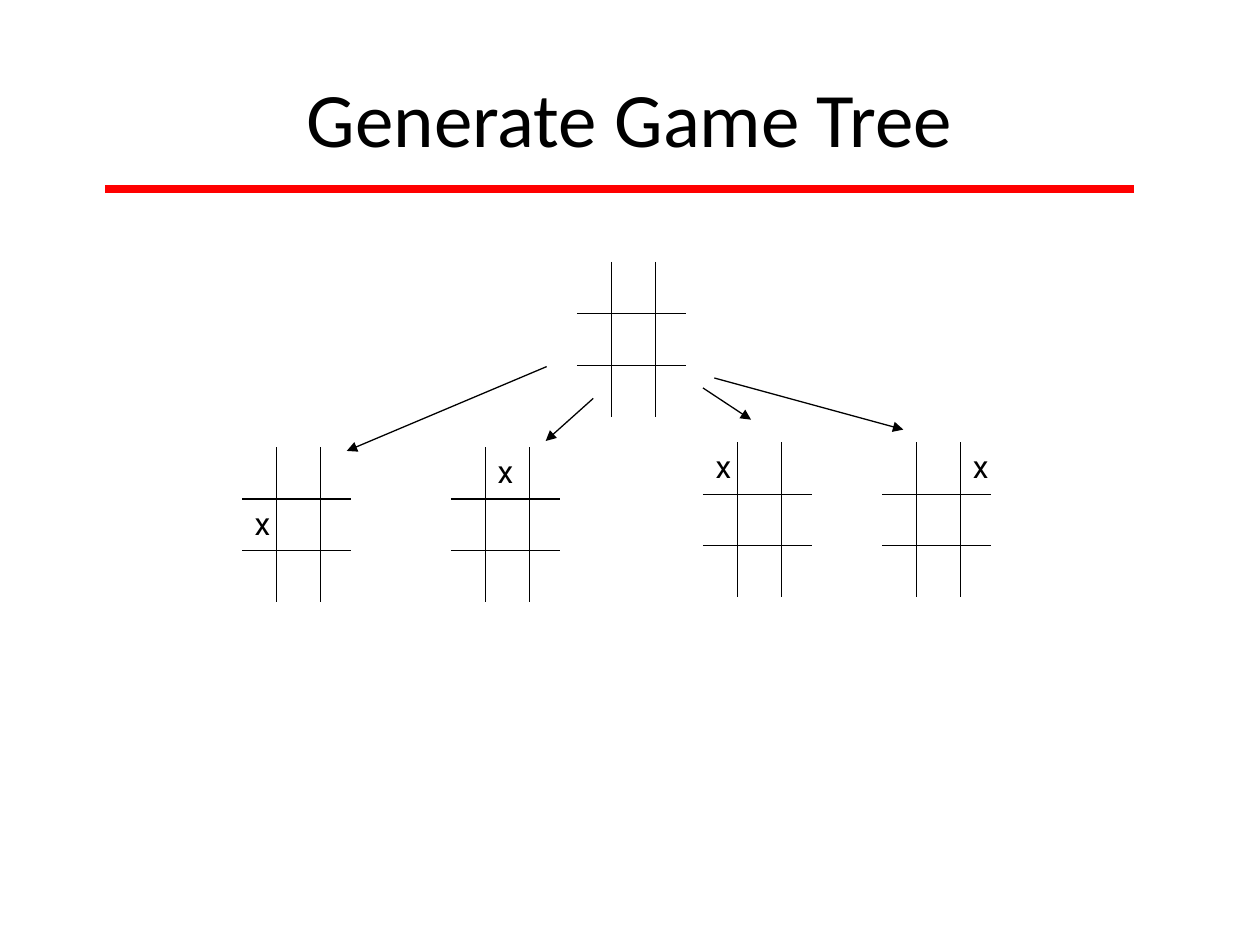
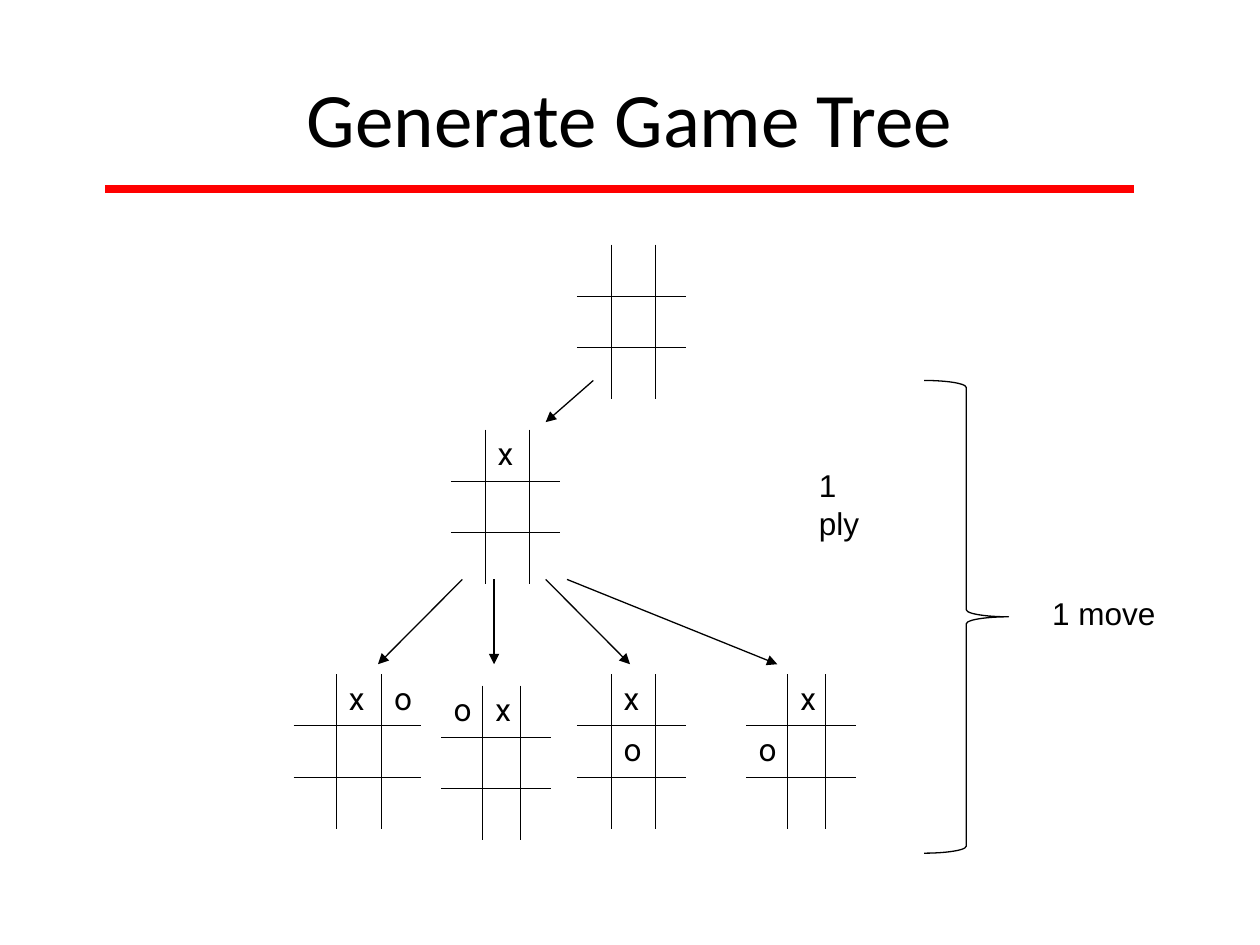
from dataclasses import dataclass
from lxml import etree
from pptx import Presentation
from pptx.dml.color import RGBColor
from pptx.enum.shapes import MSO_CONNECTOR, MSO_SHAPE
from pptx.enum.text import MSO_ANCHOR, MSO_AUTO_SIZE, PP_ALIGN
from pptx.oxml.ns import qn
from pptx.util import Cm, Pt


@dataclass(frozen=True)
class Theme:
    ink: RGBColor = RGBColor(0, 0, 0)
    accent: RGBColor = RGBColor(255, 0, 0)
    title_font: str = "Calibri"
    mark_font: str = "Roboto"
    label_font: str = "Arial"
    title_size: int = 44
    text_size: int = 18
    thin: float = 0.75
    thick: float = 4.5


T = Theme()
TITLE = "Generate Game Tree"
TITLE_BOX = (1.27, 0.76, 22.86, 3.18)
RULE = (2.12, 3.81, 22.86, 3.81)

ROW = 1.04
REGULAR = (0.69, 0.89, 0.61)
SHIFTED = (0.84, 0.76, 0.61)
WIDE = (0.86, 0.91, 0.79)

SLIDES = [
    {
        "boards": [
            (11.63, 5.28, REGULAR, {}),
            (9.09, 9.02, REGULAR, {(0, 1): "x"}),
            (14.17, 8.92, REGULAR, {(0, 0): "x"}),
            (17.78, 8.92, REGULAR, {(0, 2): "x"}),
            (4.88, 9.02, REGULAR, {(1, 0): "x"}),
        ],
        "arrows": [
            (11.02, 7.39, 6.99, 9.09),
            (11.96, 8.03, 11, 8.89),
            (14.17, 7.82, 15.14, 8.46),
            (14.4, 7.62, 18.21, 8.66),
        ],
        "braces": [],
        "labels": [],
    },
    {
        "boards": [
            (11.63, 4.93, REGULAR, {}),
            (9.09, 8.66, REGULAR, {(0, 1): "x"}),
            (8.89, 13.82, SHIFTED, {(0, 0): "o", (0, 1): "x"}),
            (11.63, 13.59, REGULAR, {(0, 1): "x", (1, 1): "o"}),
            (15.04, 13.59, SHIFTED, {(0, 1): "x", (1, 0): "o"}),
            (5.92, 13.59, WIDE, {(0, 1): "x", (0, 2): "o"}),
        ],
        "arrows": [
            (9.32, 11.68, 7.62, 13.39),
            (11.96, 7.67, 11, 8.51),
            (9.96, 11.68, 9.96, 13.39),
            (11, 11.68, 12.7, 13.39),
            (11.43, 11.68, 15.67, 13.39),
        ],
        "braces": [(18.63, 7.67, 1.7, 9.53)],
        "labels": [
            ("1 ply", 16.26, 9.27, 1.83, 1.02),
            ("1 move", 20.96, 11.86, 2.59, 1.02),
        ],
    },
]


def cms(values):
    return [Cm(v) for v in values]


def add_text(p, text, font, size):
    r = p.add_run()
    r.text = text
    r.font.name = font
    r.font.size = Pt(size)
    r.font.color.rgb = T.ink


def add_title(s):
    title = s.shapes.title
    title.left, title.top, title.width, title.height = cms(TITLE_BOX)
    tf = title.text_frame
    tf.vertical_anchor = MSO_ANCHOR.MIDDLE
    p = tf.paragraphs[0]
    p.alignment = PP_ALIGN.CENTER
    add_text(p, TITLE, T.title_font, T.title_size)


def add_line(s, ends, color, width, arrow=False):
    line = s.shapes.add_connector(MSO_CONNECTOR.STRAIGHT, *cms(ends))
    line.line.color.rgb = color
    line.line.width = Pt(width)
    if arrow:
        ln = line.line._get_or_add_ln()
        etree.SubElement(ln, qn("a:tailEnd"), type="triangle")
    etree.SubElement(line._element.spPr, qn("a:effectLst"))


def set_border(cell, side, drawn):
    tcPr = cell._tc.get_or_add_tcPr()
    ln = etree.SubElement(tcPr, qn(f"a:ln{side}"), w=str(Pt(T.thin)))
    if drawn:
        fill = etree.SubElement(ln, qn("a:solidFill"))
        etree.SubElement(fill, qn("a:srgbClr"), val=str(T.ink))
    else:
        etree.SubElement(ln, qn("a:noFill"))


def add_board(s, x, y, widths, marks):
    frame = s.shapes.add_table(3, 3, *cms((x, y, sum(widths), 3 * ROW)))
    board = frame.table
    board.first_row = board.horz_banding = False
    for column, width in zip(board.columns, widths):
        column.width = Cm(width)
    for i, row in enumerate(board.rows):
        row.height = Cm(ROW)
        for j, cell in enumerate(row.cells):
            inner = {"L": j > 0, "R": j < 2, "T": i > 0, "B": i < 2}
            for side, drawn in inner.items():
                set_border(cell, side, drawn)
            cell.fill.background()
            p = cell.text_frame.paragraphs[0]
            if (i, j) in marks:
                p.line_spacing = 1.02
                add_text(p, marks[i, j], T.mark_font, T.text_size)


def add_brace(s, box):
    brace = s.shapes.add_shape(MSO_SHAPE.RIGHT_BRACE, *cms(box))
    brace.shadow.inherit = False
    brace.fill.background()
    brace.line.color.rgb = T.ink
    brace.line.width = Pt(T.thin)


def add_label(s, text, *box):
    tf = s.shapes.add_textbox(*cms(box)).text_frame
    tf.word_wrap = True
    tf.auto_size = MSO_AUTO_SIZE.SHAPE_TO_FIT_TEXT
    add_text(tf.paragraphs[0], text, T.label_font, T.text_size)


def main():
    prs = Presentation()
    prs.slide_width, prs.slide_height = Cm(25.4), Cm(19.05)
    for content in SLIDES:
        s = prs.slides.add_slide(prs.slide_layouts[5])
        add_title(s)
        for board in content["boards"]:
            add_board(s, *board)
        for ends in content["arrows"]:
            add_line(s, ends, T.ink, T.thin, arrow=True)
        for box in content["braces"]:
            add_brace(s, box)
        for label in content["labels"]:
            add_label(s, *label)
        add_line(s, RULE, T.accent, T.thick)
    prs.save("out.pptx")


if __name__ == "__main__":
    main()
